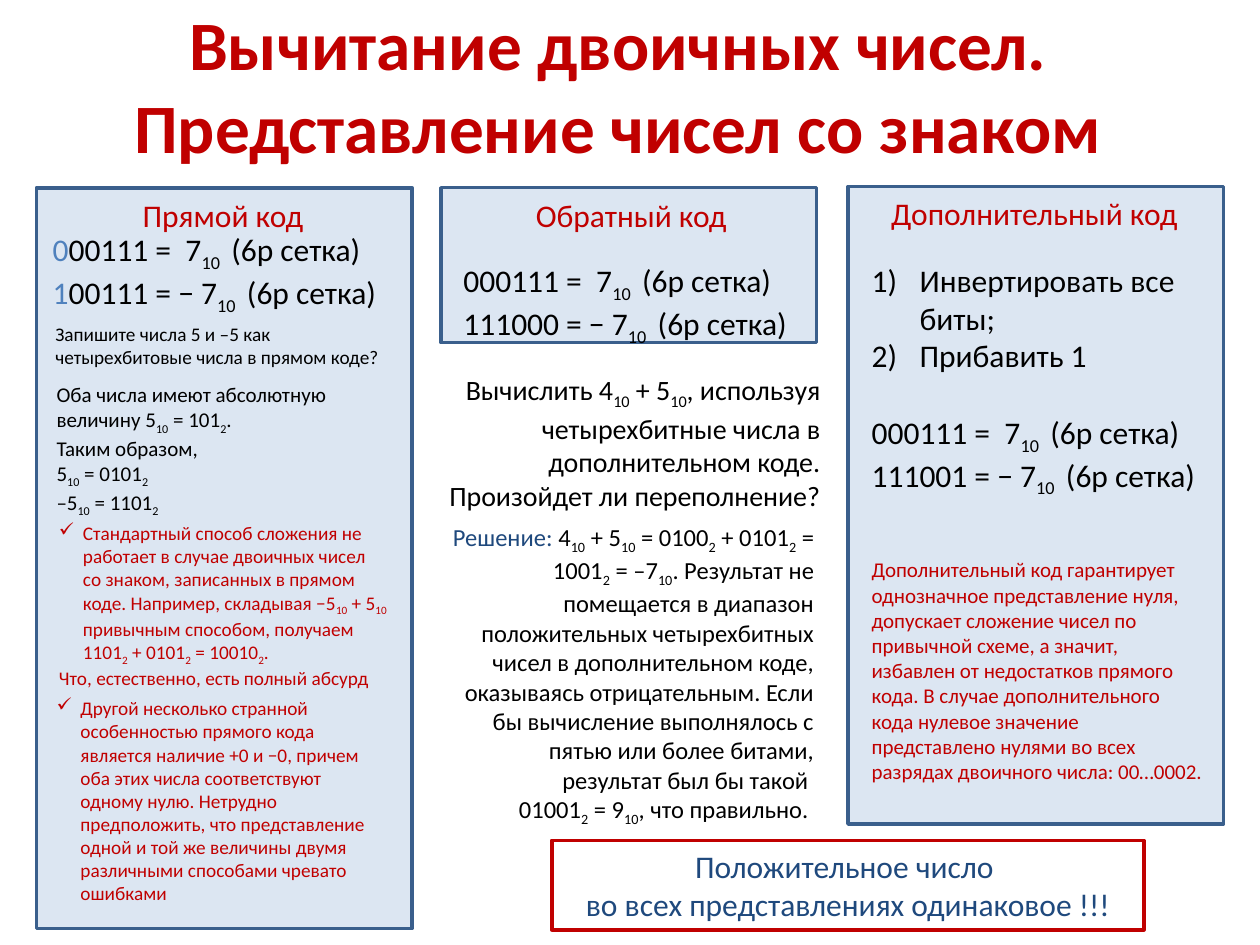
from dataclasses import dataclass

import pptx
import pptx.dml.color
import pptx.enum.shapes
import pptx.enum.text
import pptx.oxml
import pptx.oxml.ns
import pptx.util
from pptx.util import Inches

FONT = "Calibri"
RED, BLACK, NAVY, BLUE = "C00000", "000000", "1F497D", "4F81BD"
PANEL_FILL, PANEL_LINE = "DCE6F2", "3A5F8C"
ALIGN = pptx.enum.text.PP_ALIGN
SHAPE = pptx.enum.shapes.MSO_SHAPE
CHECK = '<a:buChar {} char="✓"/>'
NUMBER = '<a:buAutoNum {} type="arabicParenR"/>'
SUBSCRIPT_MARK = "~"


@dataclass
class Box:
    left: float
    top: float
    width: float
    height: float


@dataclass
class Line:
    text: str
    lead: str = ""
    lead_color: str = BLACK
    bullet: str = ""
    indent: float = 0
    space_before: float = 0


@dataclass
class TextBlock:
    box: Box
    lines: list[Line]
    size: float
    color: str = BLACK
    align: ALIGN = ALIGN.LEFT
    bold: bool = False


def rgb(value: str) -> pptx.dml.color.RGBColor:
    return pptx.dml.color.RGBColor.from_string(value)


def place(box: Box) -> tuple:
    return Inches(box.left), Inches(box.top), Inches(box.width), Inches(box.height)


def add_runs(paragraph, text: str, color: str = "") -> None:
    for index, part in enumerate(text.split(SUBSCRIPT_MARK)):
        for row, piece in enumerate(part.split("\n")):
            if row:
                paragraph.add_line_break()
            if not piece:
                continue
            run = paragraph.add_run()
            run.text = piece
            if color:
                run.font.color.rgb = rgb(color)
            if index % 2:
                run._r.get_or_add_rPr().set("baseline", "-25000")


def add_bullet(paragraph, bullet: str, indent: float) -> None:
    properties = paragraph._p.get_or_add_pPr()
    properties.set("marL", str(Inches(indent)))
    properties.set("indent", str(-Inches(indent)))
    namespace = pptx.oxml.ns.nsdecls("a")
    properties.append(pptx.oxml.parse_xml(bullet.format(namespace)))


def fill_text(text_frame, block: TextBlock) -> None:
    text_frame.word_wrap = True
    for index, line in enumerate(block.lines):
        paragraph = text_frame.add_paragraph() if index else text_frame.paragraphs[0]
        paragraph.alignment = block.align
        if line.space_before:
            paragraph.space_before = pptx.util.Pt(line.space_before)
        if line.bullet:
            add_bullet(paragraph, line.bullet, line.indent)
        paragraph.font.name = FONT
        paragraph.font.size = pptx.util.Pt(block.size)
        paragraph.font.bold = block.bold
        paragraph.font.color.rgb = rgb(block.color)
        add_runs(paragraph, line.lead, line.lead_color)
        add_runs(paragraph, line.text)


def add_text(slide, block: TextBlock):
    shape = slide.shapes.add_textbox(*place(block.box))
    fill_text(shape.text_frame, block)
    return shape


def add_panel(slide, kind: SHAPE, box: Box, line: str, fill: str = ""):
    shape = slide.shapes.add_shape(kind, *place(box))
    shape.shadow.inherit = False
    if fill:
        shape.fill.solid()
        shape.fill.fore_color.rgb = rgb(fill)
    else:
        shape.fill.background()
    shape.line.color.rgb = rgb(line)
    shape.line.width = pptx.util.Pt(2)
    return shape


TITLE = TextBlock(
    Box(0.06, 0.01, 9.69, 1.32),
    [Line("Вычитание двоичных чисел.\nПредставление чисел со знаком")],
    39.6, RED, ALIGN.CENTER, True)

PANELS = [Box(0.29, 1.49, 2.98, 5.88), Box(3.5, 1.49, 2.98, 1.23), Box(6.73, 1.48, 2.98, 5.06)]

HEADINGS = [
    TextBlock(Box(left, top, 3, 0.4), [Line(name)], 18, RED, ALIGN.CENTER)
    for left, top, name in [
        (0.27, 1.51, "Прямой код"), (3.51, 1.51, "Обратный код"), (6.71, 1.49, "Дополнительный код")]
]

POSITIVE = "00111 =  7~10 ~ (6р сетка)"
NEGATIVE = " = − 7~10 ~ (6р сетка)"

BODY = [
    TextBlock(Box(0.34, 2.51, 2.89, 0.47),
              [Line("Запишите числа 5 и –5 как четырехбитовые числа в прямом коде?")], 11),
    TextBlock(Box(0.35, 2.98, 2.81, 1.11), [
        Line("Оба числа имеют абсолютную величину 5~10~ = 101~2~."),
        Line("Таким образом, \n5~10~ = 0101~2~"),
        Line("–5~10~ = 1101~2~")], 12),
    TextBlock(Box(0.32, 1.78, 2.89, 0.71), [
        Line(POSITIVE, "0", BLUE), Line("00111" + NEGATIVE, "1", BLUE)], 18),
    TextBlock(Box(3.58, 2.02, 2.89, 0.71), [
        Line("0" + POSITIVE), Line("111000" + NEGATIVE)], 18),
    TextBlock(Box(6.82, 2.02, 2.89, 1.92), [
        Line("Инвертировать все биты;", bullet=NUMBER, indent=0.38),
        Line("Прибавить 1", bullet=NUMBER, indent=0.38),
        Line("0" + POSITIVE, space_before=22),
        Line("111001" + NEGATIVE)], 18),
    TextBlock(Box(0.37, 4.09, 2.8, 1.4), [
        Line("Стандартный способ сложения не работает в случае двоичных чисел со знаком, "
             "записанных в прямом коде. Например, складывая −5~10~ + 5~10~ привычным способом, "
             "получаем 1101~2~ + 0101~2~ = 10010~2~.", bullet=CHECK, indent=0.19),
        Line("Что, естественно, есть полный абсурд")], 11, RED),
    TextBlock(Box(0.35, 5.48, 2.81, 1.77), [
        Line("Другой несколько странной особенностью прямого кода является наличие +0 и −0, "
             "причем оба этих числа соответствуют одному нулю. Нетрудно предположить, что "
             "представление одной и той же величины двумя различными способами чревато ошибками",
             bullet=CHECK, indent=0.19)], 11, RED),
    TextBlock(Box(6.82, 4.37, 2.83, 2.12), [
        Line("Дополнительный код гарантирует однозначное представление нуля, допускает сложение "
             "чисел по привычной схеме, а значит, избавлен от недостатков прямого кода. В случае "
             "дополнительного кода нулевое значение представлено нулями во всех разрядах "
             "двоичного числа: 00…0002.")], 12, RED),
    TextBlock(Box(3.45, 2.91, 3.16, 1.18), [
        Line("Вычислить 4~10~ + 5~10~, используя четырехбитные числа в дополнительном коде. "
             "Произойдет ли переполнение? ")], 16, align=ALIGN.RIGHT),
    TextBlock(Box(3.46, 4.09, 3.1, 2.46), [
        Line("4~10~ + 5~10~ = 0100~2~ + 0101~2~ = 1001~2~ = –7~10~. Результат не помещается в "
             "диапазон положительных четырехбитных чисел в дополнительном коде, оказываясь "
             "отрицательным. Если бы вычисление выполнялось с пятью или более битами, результат "
             "был бы такой \n01001~2~ = 9~10~, что правильно. ", "Решение: ", NAVY)],
        14, align=ALIGN.RIGHT),
]

CONCLUSION = TextBlock(
    Box(4.38, 6.67, 4.7, 0.71),
    [Line("Положительное число \nво всех представлениях одинаковое !!!")],
    18, NAVY, ALIGN.CENTER)


def main() -> None:
    presentation = pptx.Presentation()
    presentation.slide_width = Inches(10)
    presentation.slide_height = Inches(7.5)
    slide = presentation.slides.add_slide(presentation.slide_layouts[6])

    title = add_text(slide, TITLE)
    title.text_frame.vertical_anchor = pptx.enum.text.MSO_ANCHOR.MIDDLE
    for box in PANELS:
        add_panel(slide, SHAPE.FLOWCHART_PROCESS, box, PANEL_LINE, PANEL_FILL)
    for block in HEADINGS + BODY:
        add_text(slide, block)
    conclusion = add_panel(slide, SHAPE.RECTANGLE, CONCLUSION.box, RED)
    fill_text(conclusion.text_frame, CONCLUSION)

    presentation.save("out.pptx")


if __name__ == "__main__":
    main()
